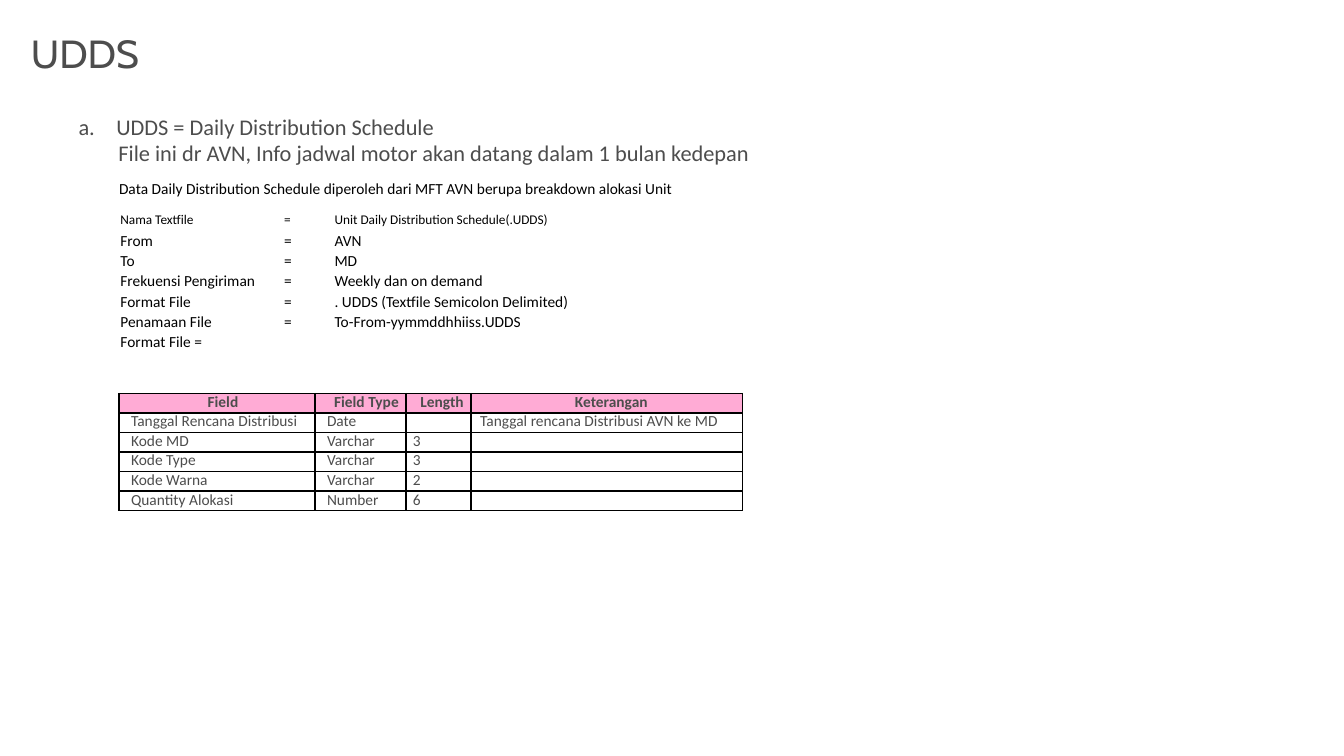
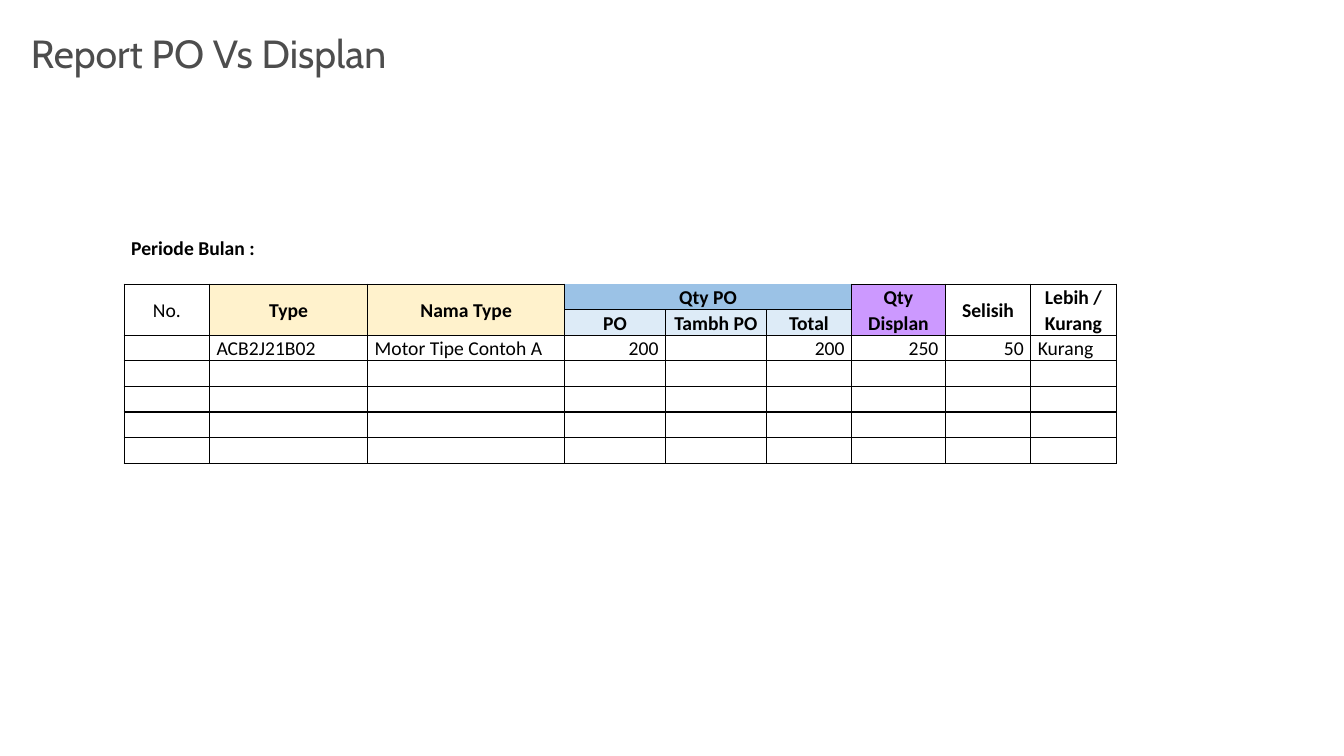
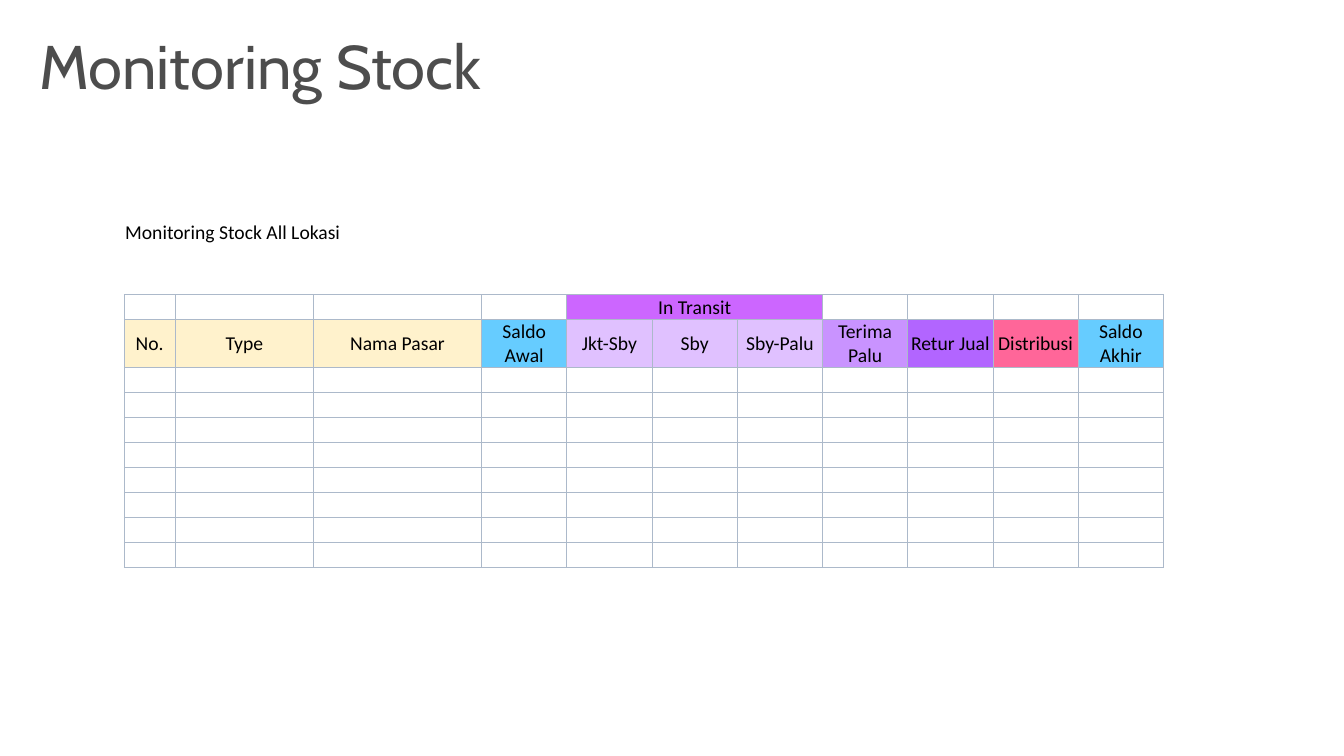
from dataclasses import dataclass

from lxml import etree
from pptx import Presentation
from pptx.dml.color import RGBColor
from pptx.enum.text import MSO_ANCHOR, PP_ALIGN
from pptx.oxml.ns import qn
from pptx.util import Pt

LEFT, CENTER, RIGHT = PP_ALIGN.LEFT, PP_ALIGN.CENTER, PP_ALIGN.RIGHT
TOP, MIDDLE, BOTTOM = MSO_ANCHOR.TOP, MSO_ANCHOR.MIDDLE, MSO_ANCHOR.BOTTOM
NO_TABLE_STYLE = "{2D5ABB26-0587-4C30-8999-92F81FD0307C}"


@dataclass(frozen=True)
class Theme:
    title_font: str = "Cabin"
    body_font: str = "Calibri"
    gray: str = "4D4D4D"
    black: str = "000000"
    steel: str = "ACB9CA"
    pink: str = "FFABD5"
    cream: str = "FFF2CC"
    blue: str = "9BC2E6"
    pale_blue: str = "DDEBF7"
    sky: str = "66CCFF"
    lilac: str = "CC99FF"
    orchid: str = "CC66FF"
    lavender: str = "E0C1FF"
    mauve: str = "C993FF"
    violet: str = "B265FF"
    rose: str = "FF6699"
    title: float = 28
    large_title: float = 44
    lead: float = 16
    report: float = 14
    detail: float = 11
    small: float = 9.5


THEME = Theme()


@dataclass
class Cell:
    text: str = ""
    fill: str = ""
    align: int = LEFT
    anchor: int = BOTTOM
    bold: bool = False
    indent: float = 0
    span: tuple = (1, 1)
    sides: str = "LRTB"


@dataclass
class Grid:
    columns: list
    rows: list
    cells: dict
    size: float
    color: str
    border: str
    border_width: float
    margins: tuple
    line_spacing: float = 1
    first_ruled_row: int = 0


def write(paragraph, text, *, size, color=THEME.black, font=THEME.body_font, bold=False,
          align=LEFT, line=1, before=0, indent=0, hanging=0, numbered=False):
    paragraph.alignment = align
    paragraph.line_spacing = line
    paragraph.space_before = Pt(before)
    properties = paragraph._p.get_or_add_pPr()
    properties.set("marL", str(Pt(indent)))
    properties.set("indent", str(-Pt(hanging)))
    if numbered:
        etree.SubElement(properties, qn("a:buAutoNum"), type="alphaLcPeriod")
    if not text:
        paragraph._p.get_or_add_endParaRPr().set("sz", str(int(size * 100)))
        return
    run = paragraph.add_run()
    run.text = text
    run.font.name = font
    run.font.size = Pt(size)
    run.font.bold = bold
    run.font.color.rgb = RGBColor.from_string(color)


def set_margins(target, margins):
    target.margin_left, target.margin_top, target.margin_right, target.margin_bottom = map(Pt, margins)


def add_text(slide, box, lines, margins=(0, 0, 0, 0), anchor=TOP):
    frame = slide.shapes.add_textbox(*map(Pt, box)).text_frame
    frame.word_wrap = True
    frame.vertical_anchor = anchor
    set_margins(frame, margins)
    for index, (text, options) in enumerate(lines):
        paragraph = frame.add_paragraph() if index else frame.paragraphs[0]
        write(paragraph, text, **options)


def add_title(slide, text, box=(15, 9.4, 686, 56), size=THEME.title):
    options = dict(size=size, color=THEME.gray, font=THEME.title_font)
    add_text(slide, box, [(text, options)], (7.2, 3.6, 7.2, 3.6), MIDDLE)


def add_borders(cell, sides, color, width):
    properties = cell._tc.get_or_add_tcPr()
    for side in "LRTB":
        line = etree.SubElement(properties, qn(f"a:ln{side}"), w=str(Pt(width)))
        if side in sides:
            fill = etree.SubElement(line, qn("a:solidFill"))
            etree.SubElement(fill, qn("a:srgbClr"), val=color)
        else:
            etree.SubElement(line, qn("a:noFill"))


def add_grid(slide, left, top, grid):
    width, height = sum(grid.columns), sum(grid.rows)
    frame = slide.shapes.add_table(len(grid.rows), len(grid.columns),
                                   Pt(left), Pt(top), Pt(width), Pt(height))
    table = frame.table
    table.first_row = table.horz_banding = False
    table._tbl.tblPr.find(qn("a:tableStyleId")).text = NO_TABLE_STYLE
    for column, column_width in zip(table.columns, grid.columns):
        column.width = Pt(column_width)
    for row, row_height in zip(table.rows, grid.rows):
        row.height = Pt(row_height)
    for row in range(len(grid.rows)):
        for column in range(len(grid.columns)):
            content = grid.cells.get((row, column), Cell())
            cell = table.cell(row, column)
            sides = content.sides if row >= grid.first_ruled_row else ""
            add_borders(cell, sides, grid.border, grid.border_width)
            if content.fill:
                cell.fill.solid()
                cell.fill.fore_color.rgb = RGBColor.from_string(content.fill)
            else:
                cell.fill.background()
            set_margins(cell, grid.margins)
            cell.vertical_anchor = content.anchor
            write(cell.text_frame.paragraphs[0], content.text, size=grid.size,
                  color=grid.color, bold=content.bold, align=content.align,
                  line=grid.line_spacing, indent=content.indent)
            if content.span != (1, 1):
                down, across = content.span
                cell.merge(table.cell(row + down - 1, column + across - 1))


def add_detail_column(slide, left, top, width, entries):
    first = dict(size=THEME.small, line=Pt(10.4))
    second = dict(size=THEME.detail, line=Pt(13.4), before=2.3)
    others = dict(second, before=1.1)
    formats = [first, second] + [others] * (len(entries) - 2)
    add_text(slide, (left, top, width, 14.5 * len(entries)), list(zip(entries, formats)))


def add_file_details(slide, left, top):
    labels = ["Nama Textfile", "From", "To", "Frekuensi Pengiriman",
              "Format File", "Penamaan File", "Format File ="]
    values = ["Unit Daily Distribution Schedule(.UDDS)", "AVN", "MD", "Weekly dan on demand",
              ". UDDS (Textfile Semicolon Delimited)", "To-From-yymmddhhiiss.UDDS"]
    columns = [(1.5, 110, labels), (118.5, 10, ["="] * len(values)), (154.5, 190, values)]
    for offset, width, entries in columns:
        add_detail_column(slide, left + offset, top, width, entries)


def field_grid():
    indents = [8.6, 8.6, 5, 6.5]
    rows = [
        ["Field", "Field Type", "Length", "Keterangan"],
        ["Tanggal Rencana Distribusi", "Date", "", "Tanggal rencana Distribusi AVN ke MD"],
        ["Kode MD", "Varchar", "3", ""],
        ["Kode Type", "Varchar", "3", ""],
        ["Kode Warna", "Varchar", "2", ""],
        ["Quantity Alokasi", "Number", "6", ""],
    ]
    cells = {}
    for row, texts in enumerate(rows):
        style = dict(fill=THEME.pink, align=CENTER, bold=True) if row == 0 else {}
        for column, text in enumerate(texts):
            cells[row, column] = Cell(text, indent=indents[column], anchor=TOP, **style)
    return Grid([140, 65, 46.5, 194], [13.95] * len(rows), cells, THEME.detail, THEME.gray,
                THEME.black, 1, (0, 0, 0, 0), Pt(13))


def report_grid():
    header = dict(align=CENTER, bold=True)
    tall = dict(align=CENTER, span=(2, 1))
    cells = {
        (0, 0): Cell("Periode Bulan :", bold=True, span=(1, 2)),
        (2, 0): Cell("No.", anchor=MIDDLE, **tall),
        (2, 1): Cell("Type", THEME.cream, anchor=MIDDLE, bold=True, **tall),
        (2, 2): Cell("Nama Type", THEME.cream, anchor=MIDDLE, bold=True, **tall),
        (2, 3): Cell("Qty PO", THEME.blue, span=(1, 3), sides="LRB", **header),
        (2, 6): Cell("Qty Displan", THEME.lilac, bold=True, **tall),
        (2, 7): Cell("Selisih", anchor=MIDDLE, bold=True, **tall),
        (2, 8): Cell("Lebih / Kurang", bold=True, **tall),
    }
    for column, text in enumerate(["PO", "Tambh PO", "Total"], 3):
        cells[3, column] = Cell(text, THEME.pale_blue, **header)
    values = ["", "ACB2J21B02", "Motor Tipe Contoh A", "200", "", "200", "250", "50", "Kurang"]
    for column, text in enumerate(values):
        cells[4, column] = Cell(text, align=RIGHT if text.isdigit() else LEFT)
    return Grid([61, 113, 140.7, 72, 72, 61, 67, 61, 61], [18.3, 16.8] + [18.3] * 7, cells,
                THEME.report, THEME.black, THEME.black, 1, (5, 0, 5, 0), 1.07, 2)


def stock_grid():
    headers = [
        ("No.", THEME.cream), ("Type", THEME.cream), ("Nama Pasar", THEME.cream),
        ("Saldo Awal", THEME.sky), ("Jkt-Sby", THEME.lavender), ("Sby", THEME.lavender),
        ("Sby-Palu", THEME.lavender), ("Terima Palu", THEME.mauve),
        ("Retur Jual", THEME.violet), ("Distribusi", THEME.rose), ("Saldo Akhir", THEME.sky),
    ]
    cells = {
        (0, 0): Cell("Monitoring Stock All Lokasi", span=(1, 3)),
        (3, 4): Cell("In Transit", THEME.orchid, CENTER, span=(1, 3)),
    }
    for column, (text, fill) in enumerate(headers):
        cells[4, column] = Cell(text, fill, CENTER, MIDDLE)
    return Grid([36.5, 98.8, 120] + [60.9] * 8, [17.8] * 4 + [34.6] + [17.8] * 8, cells,
                THEME.report, THEME.black, THEME.steel, 0.5, (0.7, 0.7, 0.7, 0), 1, 3)


def build_schedule_slide(slide):
    add_title(slide, "UDDS")
    lead = dict(size=THEME.lead, color=THEME.gray)
    add_text(slide, (49, 77, 793, 63), [
        ("UDDS = Daily Distribution Schedule", dict(lead, indent=27, hanging=27, numbered=True)),
        ("File ini dr AVN, Info jadwal motor akan datang dalam 1 bulan kedepan",
         dict(lead, indent=28.5)),
    ], (7.2, 3.6, 7.2, 3.6))
    add_text(slide, (85, 129, 531, 42), [
        ("Data Daily Distribution Schedule diperoleh dari MFT AVN berupa breakdown alokasi Unit",
         dict(size=THEME.detail, line=Pt(12.2))),
    ])
    add_file_details(slide, 84.5, 152)
    add_grid(slide, 85, 281, field_grid())


def build_report_slide(slide):
    add_title(slide, "Report PO Vs Displan")
    add_grid(slide, 88.7, 167.8, report_grid())


def build_stock_slide(slide):
    add_grid(slide, 88.7, 157, stock_grid())
    add_title(slide, "Monitoring Stock", (21, 18, 864, 56), THEME.large_title)


def main():
    presentation = Presentation()
    presentation.slide_width, presentation.slide_height = Pt(960), Pt(540)
    blank = presentation.slide_layouts[6]
    for build in (build_schedule_slide, build_report_slide, build_stock_slide):
        build(presentation.slides.add_slide(blank))
    presentation.save("out.pptx")


if __name__ == "__main__":
    main()
